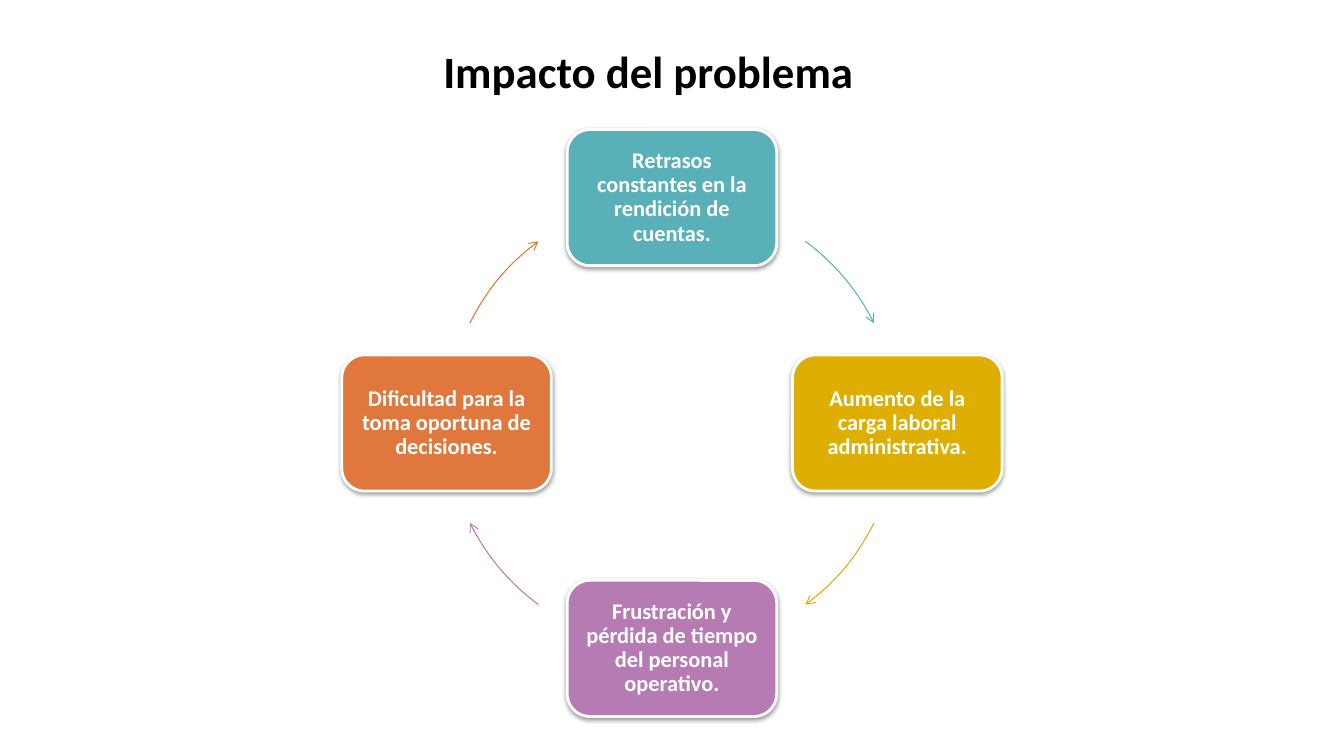
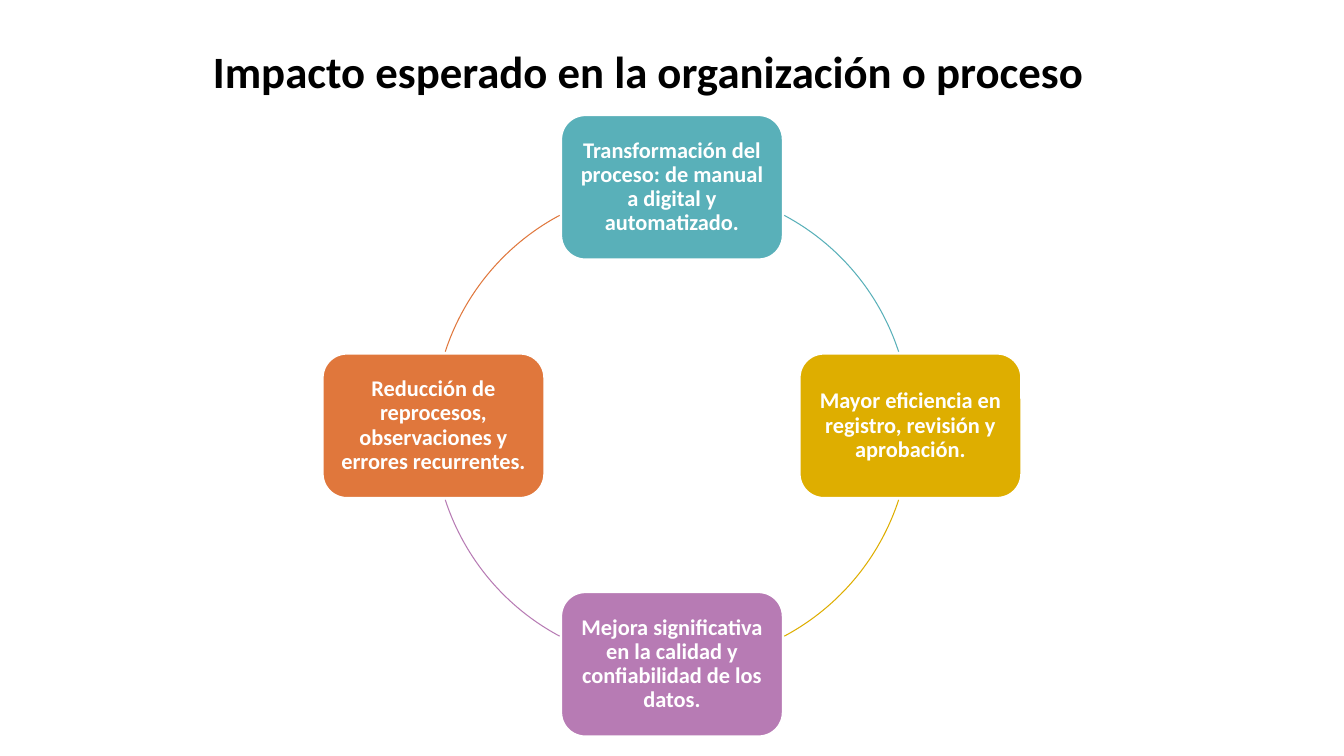
"""Build two slides, each showing a titled cycle of four boxes."""
import math

from lxml import etree
from pptx import Presentation
from pptx import util as u
from pptx.dml.color import RGBColor
from pptx.enum import shapes, text
from pptx.oxml import ns

TEAL = RGBColor(0x59, 0xB0, 0xB9)
GOLD = RGBColor(0xDE, 0xAE, 0x00)
MAUVE = RGBColor(0xB7, 0x7B, 0xB4)
RUST = RGBColor(0xE0, 0x77, 0x3C)
WHITE = RGBColor(0xFF, 0xFF, 0xFF)
BLACK = RGBColor(0x00, 0x00, 0x00)

HUES = (TEAL, GOLD, MAUVE, RUST)
MIDS = (320, 40, 140, 220)

WIDE, HIGH = u.Cm(33.87), u.Cm(19.05)
TITLE = (u.Cm(1.55), u.Cm(0.86), u.Cm(29.59), u.Cm(1.85))
HEAD = {"name": "Calibri", "size": u.Pt(32), "bold": True}
BODY = {"name": "Calibri", "size": u.Pt(16), "bold": True}
PARA = {"alignment": text.PP_ALIGN.CENTER}
TIGHT = {**PARA, "line_spacing": 0.9}
FRAME = {"word_wrap": True, "vertical_anchor": text.MSO_ANCHOR.MIDDLE}
INSET = {**FRAME, **{f"margin_{side}": u.Cm(0.18)
                     for side in ("left", "right", "top", "bottom")}}

SLIDES = (
    {
        "title": "Impacto del problema",
        "items": (
            "Retrasos constantes en la rendición de cuentas.",
            "Aumento de la carga laboral administrativa.",
            "Frustración y pérdida de tiempo del personal operativo.",
            "Dificultad para la toma oportuna de decisiones.",
        ),
        "look": {"mid": u.Cm(10.66), "rad": u.Cm(5.68),
                 "size": (u.Cm(5.28), u.Cm(3.43)),
                 "half": 13.7, "edge": u.Pt(2), "fancy": True},
    },
    {
        "title": "Impacto esperado en la organización o proceso",
        "items": (
            "Transformación del proceso: de manual a digital y automatizado.",
            "Mayor eficiencia en registro, revisión y aprobación.",
            "Mejora significativa en la calidad y confiabilidad de los datos.",
            "Reducción de reprocesos, observaciones y errores recurrentes.",
        ),
        "look": {"mid": u.Cm(10.73), "rad": u.Cm(6.01),
                 "size": (u.Cm(5.58), u.Cm(3.63)),
                 "half": 21.9, "edge": u.Pt(1.25), "fancy": False},
    },
)


def apply(thing, vals):
    """Set each format value on an object."""
    for key, val in vals.items():
        setattr(thing, key, val)


def write(shape, words, frame, para, font, hue):
    """Put one formatted paragraph in a shape."""
    body = shape.text_frame
    apply(body, frame)
    line = body.paragraphs[0]
    line.text = words
    apply(line, para)
    apply(line.font, font)
    line.font.color.rgb = hue


def shade(shape):
    """Give a shape a soft shadow below it."""
    effect = shape._element.spPr.find(ns.qn("a:effectLst"))
    outer = etree.SubElement(effect, ns.qn("a:outerShdw"), blurRad=str(u.Pt(3.1)),
                             dist=str(u.Pt(1.6)), dir="5400000", rotWithShape="0")
    tint = etree.SubElement(outer, ns.qn("a:srgbClr"), val=str(BLACK))
    etree.SubElement(tint, ns.qn("a:alpha"), val="38000")


def add_box(slide, box, words, hue, edge, fancy):
    """Add one rounded box with its text."""
    shape = slide.shapes.add_shape(shapes.MSO_SHAPE.ROUNDED_RECTANGLE, *box)
    shape.shadow.inherit = False
    shape.fill.solid()
    shape.fill.fore_color.rgb = hue
    shape.line.color.rgb = WHITE
    shape.line.width = edge
    if fancy:
        shade(shape)
    write(shape, words, INSET, TIGHT, BODY, WHITE)


def add_arc(slide, box, span, hue, arrow):
    """Add one arc of the circle in a box, between two angles."""
    arc = slide.shapes.add_shape(shapes.MSO_SHAPE.ARC, *box)
    arc.shadow.inherit = False
    arc.fill.background()
    arc.line.color.rgb = hue
    arc.line.width = u.Pt(0.75)
    for spot, angle in enumerate(span):
        arc.adjustments[spot] = angle * 0.6
    if arrow:
        line = arc._element.spPr.find(ns.qn("a:ln"))
        etree.SubElement(line, ns.qn("a:tailEnd"), type="arrow")


def add_ring(slide, items, mid, rad, size, half, edge, fancy):
    """Add boxes clockwise from the top, joined by arcs."""
    hub = WIDE // 2
    wide, high = size
    ring = (hub - rad, mid - rad, 2 * rad, 2 * rad)
    for spot, (words, hue, turn) in enumerate(zip(items, HUES, MIDS)):
        angle = math.radians(90 * spot - 90)
        left = round(hub + rad * math.cos(angle) - wide / 2)
        top = round(mid + rad * math.sin(angle) - high / 2)
        add_box(slide, (left, top, wide, high), words, hue, edge, fancy)
        add_arc(slide, ring, (turn - half, turn + half), hue, fancy)


def add_slide(deck, title, items, look):
    """Add one slide with its title and ring."""
    slide = deck.slides.add_slide(deck.slide_layouts[6])
    head = slide.shapes.add_textbox(*TITLE)
    write(head, title, FRAME, PARA, HEAD, BLACK)
    add_ring(slide, items, **look)


def main():
    """Build and save the deck."""
    deck = Presentation()
    apply(deck, {"slide_width": WIDE, "slide_height": HIGH})
    for page in SLIDES:
        add_slide(deck, **page)
    deck.save("out.pptx")


if __name__ == "__main__":
    main()
